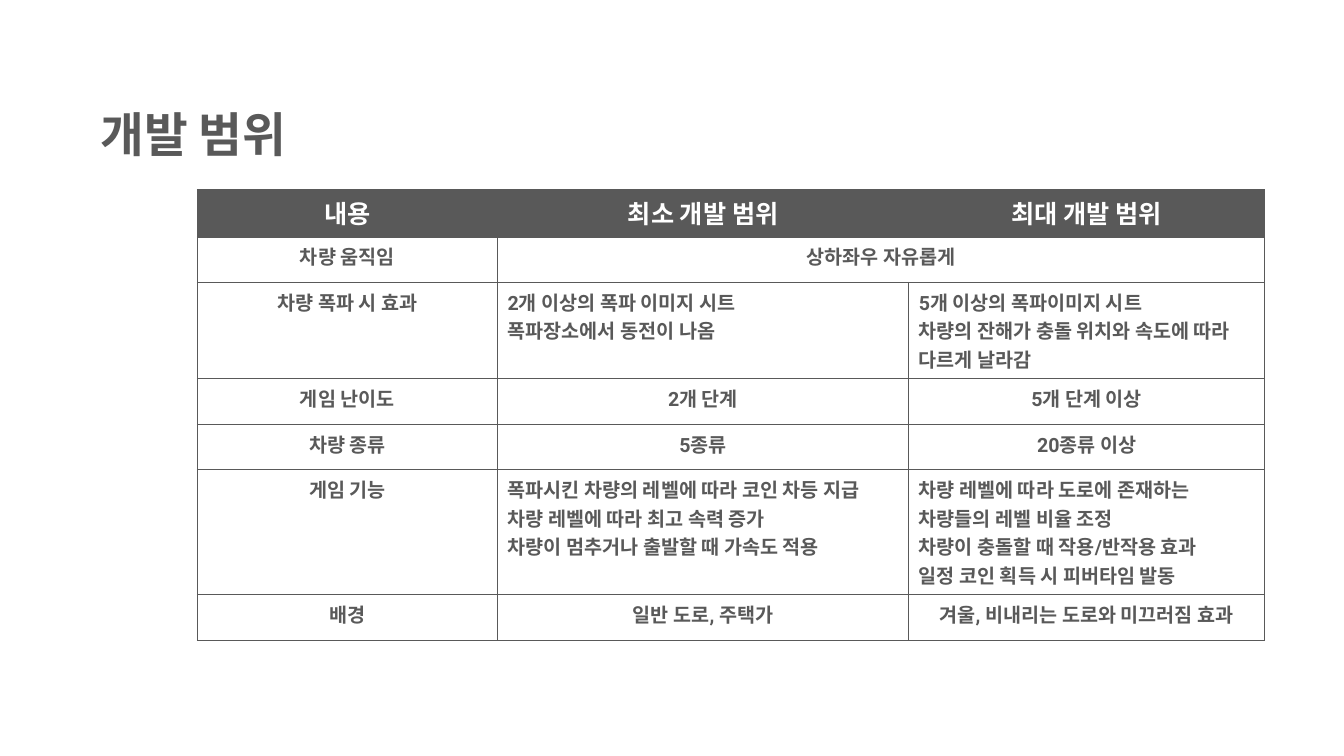
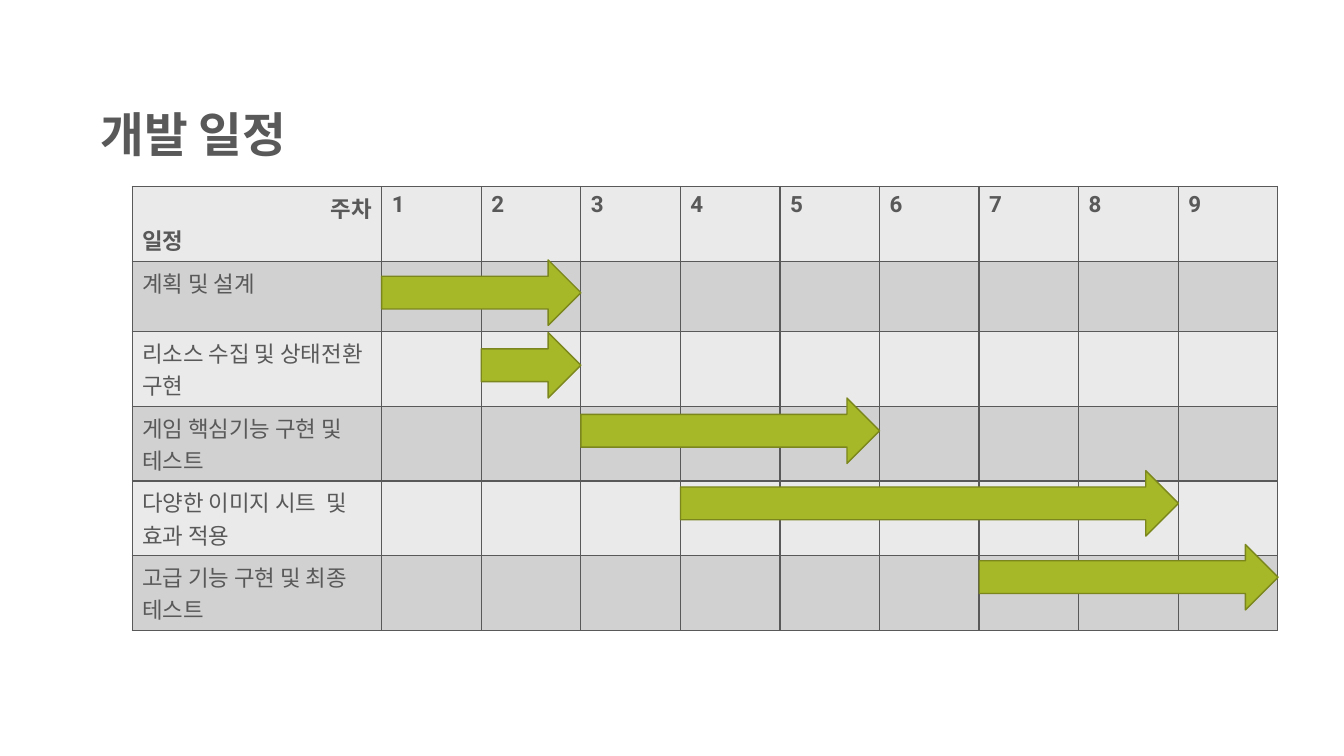
"""Build the two game-plan slides: development scope and development schedule."""
from dataclasses import dataclass

from lxml import etree
from pptx import Presentation
from pptx import util as u
from pptx.dml import color
from pptx.enum import shapes, text
from pptx.oxml import ns

GRAY = color.RGBColor(0x59, 0x59, 0x59)
WHITE = color.RGBColor(0xFF, 0xFF, 0xFF)
LIGHT_BAND = color.RGBColor(0xEA, 0xEA, 0xEA)
DARK_BAND = color.RGBColor(0xD1, 0xD1, 0xD1)
LIME = color.RGBColor(0xA6, 0xB7, 0x27)
OLIVE = color.RGBColor(0x7B, 0x87, 0x1D)

HANGUL_FONT = "Noto Sans CJK KR"
LATIN_FONT = "Roboto"
LEFT, CENTER, RIGHT = text.PP_ALIGN.LEFT, text.PP_ALIGN.CENTER, text.PP_ALIGN.RIGHT


@dataclass(frozen=True)
class Style:
    size: float
    ink: color.RGBColor = GRAY
    bold: bool = True
    latin: str = LATIN_FONT


@dataclass(frozen=True)
class Grid:
    left: float
    top: float
    columns: tuple[float, ...]
    rows: tuple[float, ...]
    outer_line: float = 1


@dataclass(frozen=True)
class Task:
    label: str
    first_week: int
    weeks: int
    arrow_top: float


TITLE = Style(34, latin=HANGUL_FONT)
SCOPE_HEAD = Style(18, WHITE)
SCOPE_BODY = Style(14)
WEEK_HEAD = Style(16)
TASK_LABEL = Style(16, bold=False)

SCOPE_GRID = Grid(4.97, 4.78, (7.57, 10.36, 8.97),
                  (1.19, 1.15, 2.42, 1.15, 1.15, 3.14, 1.15), 0.5)
SCOPE = (
    ("내용", "최소 개발 범위", "최대 개발 범위"),
    ("차량 움직임", "상하좌우 자유롭게"),
    ("차량 폭파 시 효과",
     "2개 이상의 폭파 이미지 시트\n폭파장소에서 동전이 나옴",
     "5개 이상의 폭파이미지 시트\n차량의 잔해가 충돌 위치와 속도에 따라 다르게 날라감"),
    ("게임 난이도", "2개 단계", "5개 단계 이상"),
    ("차량 종류", "5종류", "20종류 이상"),
    ("게임 기능",
     "폭파시킨 차량의 레벨에 따라 코인 차등 지급\n"
     "차량 레벨에 따라 최고 속력 증가\n"
     "차량이 멈추거나 출발할 때 가속도 적용",
     "차량 레벨에 따라 도로에 존재하는 차량들의 레벨 비율 조정\n"
     "차량이 충돌할 때 작용/반작용 효과\n"
     "일정 코인 획득 시 피버타임 발동"),
    ("배경", "일반 도로, 주택가", "겨울, 비내리는 도로와 미끄러짐 효과"),
)

WEEKS = 9
WEEK_WIDTH = 2.51
TASK_WIDTH = 6.29
ARROW_HEIGHT = 1.65
TASKS = (
    Task("계획 및 설계", 1, 2, 6.55),
    Task("리소스 수집 및 상태전환 구현", 2, 1, 8.38),
    Task("게임 핵심기능 구현 및 테스트", 3, 3, 10.03),
    Task("다양한 이미지 시트  및 효과 적용", 4, 5, 11.86),
    Task("고급 기능 구현 및 최종 테스트", 7, 3, 13.72),
)
ONE_LINE_ROW, TWO_LINE_ROW = 1.78, 1.88
SCHEDULE_GRID = Grid(3.33, 4.7, (TASK_WIDTH,) + (WEEK_WIDTH,) * WEEKS,
                     (TWO_LINE_ROW, ONE_LINE_ROW) + (TWO_LINE_ROW,) * (len(TASKS) - 1))


def write(paragraph, words: str, style: Style, align=LEFT) -> None:
    """Add one styled run to a paragraph."""
    paragraph.alignment = align
    run = paragraph.add_run()
    run.text = words
    run.font.size = u.Pt(style.size)
    run.font.bold = style.bold
    run.font.color.rgb = style.ink
    run.font.name = style.latin
    hangul = etree.SubElement(run.font._element, ns.qn("a:ea"))
    hangul.set("typeface", HANGUL_FONT)


def fill_cell(cell, lines: list[str], style: Style, aligns: list) -> None:
    """Write each line as its own paragraph."""
    frame = cell.text_frame
    for index, (line, align) in enumerate(zip(lines, aligns)):
        paragraph = frame.add_paragraph() if index else frame.paragraphs[0]
        write(paragraph, line, style, align)


def add_title(slide, words: str) -> None:
    """Add the heading shared by all slides."""
    box = slide.shapes.add_textbox(u.Cm(2.29), u.Cm(0.89), u.Cm(26.04), u.Cm(3.33))
    frame = box.text_frame
    frame.word_wrap = True
    frame.vertical_anchor = text.MSO_ANCHOR.BOTTOM
    frame.paragraphs[0].line_spacing = 0.9
    write(frame.paragraphs[0], words, TITLE)


def draw_borders(cell, widths: dict[str, float]) -> None:
    """Draw the four gray cell borders with widths in points."""
    properties = cell._tc.get_or_add_tcPr()
    for side, width in widths.items():
        line = etree.SubElement(properties, ns.qn(f"a:ln{side}"), w=str(u.Pt(width)))
        paint = etree.SubElement(line, ns.qn("a:solidFill"))
        etree.SubElement(paint, ns.qn("a:srgbClr"), val=str(GRAY))


def add_grid(slide, grid: Grid, fills: list):
    """Add a bordered table with one fill, or none, per row."""
    row_count, column_count = len(grid.rows), len(grid.columns)
    table = slide.shapes.add_table(
        row_count, column_count, u.Cm(grid.left), u.Cm(grid.top),
        u.Cm(sum(grid.columns)), u.Cm(sum(grid.rows))).table
    table.first_row = table.horz_banding = False
    for column, width in zip(table.columns, grid.columns):
        column.width = u.Cm(width)
    for r, (row, height) in enumerate(zip(table.rows, grid.rows)):
        row.height = u.Cm(height)
        for c, cell in enumerate(row.cells):
            outer = {"L": c == 0, "R": c == column_count - 1,
                     "T": r == 0, "B": r == row_count - 1}
            draw_borders(cell, {side: grid.outer_line if edge else 1
                                for side, edge in outer.items()})
            if fills[r] is None:
                cell.fill.background()
            else:
                cell.fill.solid()
                cell.fill.fore_color.rgb = fills[r]
    return table


def build_scope(slide) -> None:
    """Build the table of minimum and maximum scope."""
    add_title(slide, "개발 범위")
    table = add_grid(slide, SCOPE_GRID, [GRAY] + [None] * (len(SCOPE) - 1))
    for r, entries in enumerate(SCOPE):
        if len(entries) < len(SCOPE_GRID.columns):
            table.cell(r, 1).merge(table.cell(r, 2))
        for c, entry in enumerate(entries):
            lines = entry.split("\n")
            align = CENTER if len(lines) == 1 else LEFT
            fill_cell(table.cell(r, c), lines, SCOPE_BODY if r else SCOPE_HEAD,
                      [align] * len(lines))


def add_task_arrow(slide, task: Task) -> None:
    """Draw the arrow spanning the weeks of a task."""
    start = SCHEDULE_GRID.left + TASK_WIDTH + WEEK_WIDTH * (task.first_week - 1)
    arrow = slide.shapes.add_shape(
        shapes.MSO_SHAPE.RIGHT_ARROW, u.Cm(start), u.Cm(task.arrow_top),
        u.Cm(WEEK_WIDTH * task.weeks), u.Cm(ARROW_HEIGHT))
    arrow.shadow.inherit = False
    arrow.fill.solid()
    arrow.fill.fore_color.rgb = LIME
    arrow.line.color.rgb = OLIVE
    arrow.line.width = u.Pt(1)


def build_schedule(slide) -> None:
    """Build the weekly schedule with its task arrows."""
    add_title(slide, "개발 일정")
    bands = [DARK_BAND if r % 2 else LIGHT_BAND for r in range(len(TASKS) + 1)]
    table = add_grid(slide, SCHEDULE_GRID, bands)
    fill_cell(table.cell(0, 0), ["주차", "일정"], WEEK_HEAD, [RIGHT, LEFT])
    for week in range(1, WEEKS + 1):
        fill_cell(table.cell(0, week), [str(week)], WEEK_HEAD, [LEFT])
    for r, task in enumerate(TASKS, start=1):
        fill_cell(table.cell(r, 0), [task.label], TASK_LABEL, [LEFT])
        add_task_arrow(slide, task)


def main() -> None:
    """Build and save the presentation."""
    deck = Presentation()
    deck.slide_width, deck.slide_height = u.Cm(33.87), u.Cm(19.05)
    for build in (build_scope, build_schedule):
        build(deck.slides.add_slide(deck.slide_layouts[6]))
    deck.save("out.pptx")


main()
